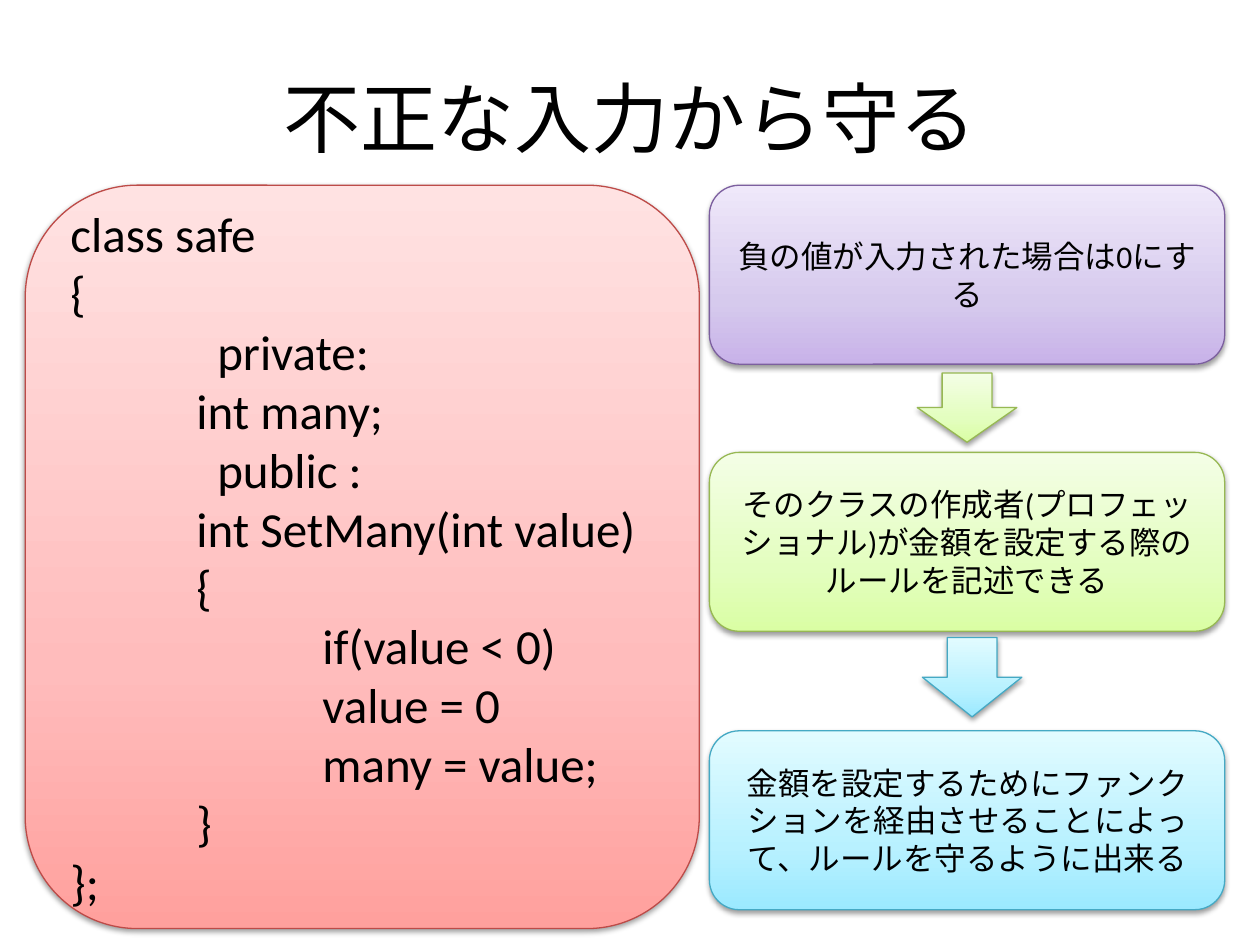
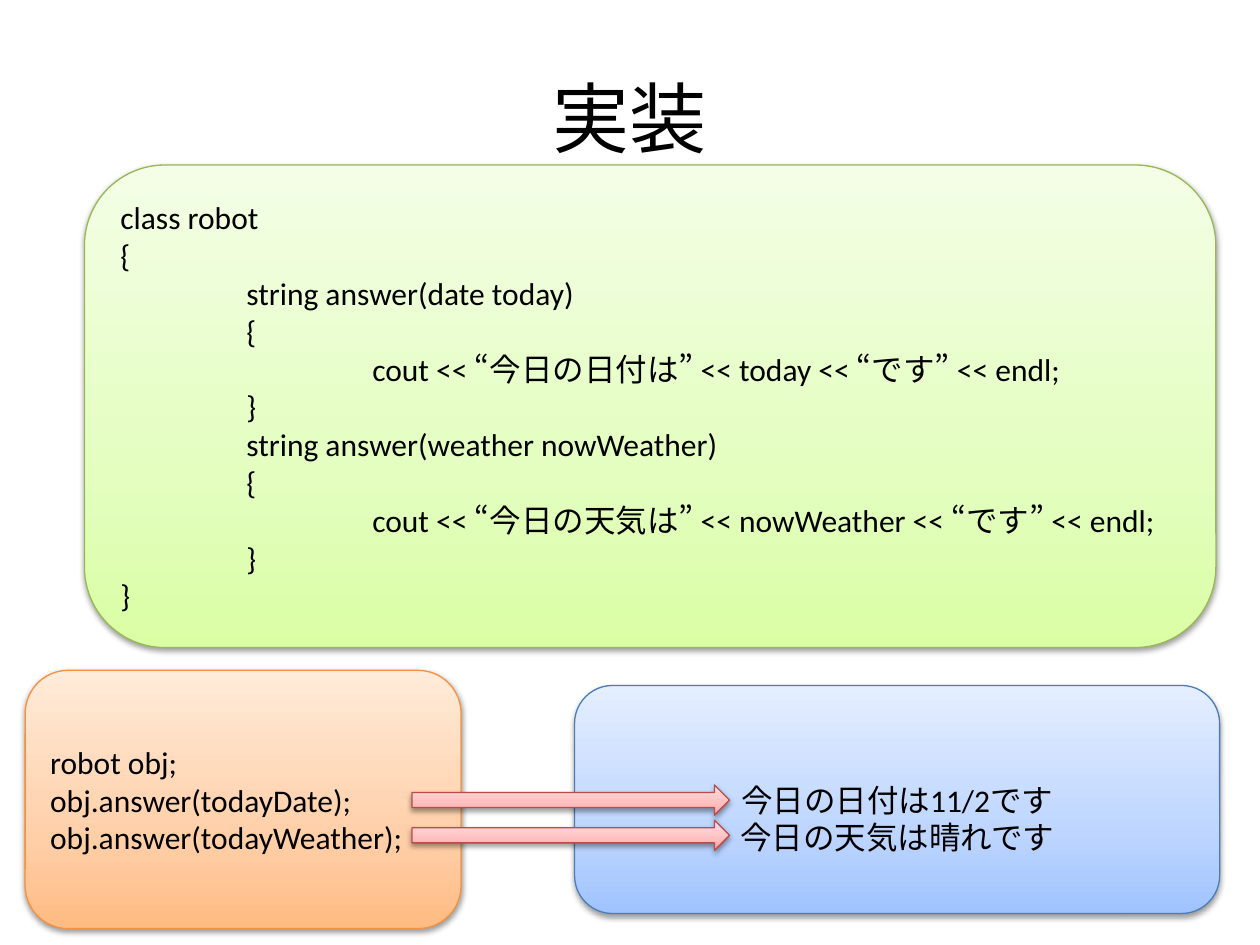
"""Two slides on guarding class input and overloading methods."""
from copy import deepcopy
from lxml import etree
from pptx import Presentation, util as u
from pptx.dml.color import RGBColor
from pptx.enum import lang, shapes, text
from pptx.oxml.ns import qn

WIDE, HIGH = u.Inches(10), u.Inches(7.5)
COLS, ROWS = 100, 75
FONT, INK = "Calibri", "000000"
STOPS = (0, 0.35, 1)
RED = ("FFA09D", "FFBCBC", "FFE2E2", "BD4B48")
VIOLET = ("C8B2E9", "D6CAED", "EFE8FA", "7C5F9F")
GREEN = ("DAFEA4", "E3FEBF", "F4FEE6", "97B853")
CYAN = ("9BE9FF", "B8F1FF", "E2FBFF", "45A9C4")
ORANGE = ("FFBB82", "FFCFA8", "FFEBD9", "F5913F")
BLUE = ("9FC3FF", "BDD5FF", "E4EEFF", "4A7DBA")
KIND = shapes.MSO_SHAPE
LEFT, MID = text.PP_ALIGN.LEFT, text.PP_ALIGN.CENTER

SAFE = """class safe
{
　　　private:
	int many;
　　　public :
	int SetMany(int value)
	{
		if(value < 0)
		value = 0
		many = value;
	}
};"""

ROBOT = """class robot
{
	string answer(date today)
	{
		cout << “今日の日付は” << today << “です” << endl;
	}
	string answer(weather nowWeather)
	{
		cout << “今日の天気は” << nowWeather << “です” << endl;
	}
}"""

CALLS = """robot obj;
obj.answer(todayDate);
obj.answer(todayWeather);"""

REPLY = """今日の日付は11/2です
今日の天気は晴れです"""

RULES = (
    (14.7, VIOLET, "負の値が入力された場合は0にする"),
    (35.9, GREEN, "そのクラスの作成者(プロフェッショナル)が金額を設定する際のルールを記述できる"),
    (58, CYAN, "金額を設定するためにファンクションを経由させることによって、ルールを守るように出来る"),
)


def hue(code):
    """Turn a hex string into a colour."""
    return RGBColor.from_string(code)


def grid(col, row, wide, high):
    """Turn grid columns and rows into slide lengths."""
    return (int(WIDE * col / COLS), int(HIGH * row / ROWS),
            int(WIDE * wide / COLS), int(HIGH * high / ROWS))


def write(frame, words, size, align):
    """Fill a text frame, with one-inch tabs, and format every run."""
    frame.text = words
    frame.word_wrap = True
    frame.vertical_anchor = text.MSO_ANCHOR.MIDDLE
    for para in frame.paragraphs:
        para.alignment = align
        props = para._p.get_or_add_pPr()
        props.set("defTabSz", str(u.Inches(1)))
        props.set("hangingPunct", "0")
        for run in para.runs:
            run.font.name, run.font.size = FONT, u.Pt(size)
            run.font.color.rgb = hue(INK)
            run.font.language_id = lang.MSO_LANGUAGE_ID.JAPANESE


def shade(shape):
    """Drop a soft shadow straight below a shape."""
    shape.shadow.inherit = False
    glow = shape._element.spPr.find(qn("a:effectLst"))
    drop = etree.SubElement(glow, qn("a:outerShdw"), blurRad="40000",
                            dist="20000", dir="5400000", rotWithShape="0")
    tint = etree.SubElement(drop, qn("a:srgbClr"), val=INK)
    etree.SubElement(tint, qn("a:alpha"), val="38000")


def paint(shape, tone):
    """Give a shape its gradient, outline and shadow."""
    shape.fill.gradient()
    stops = shape._element.spPr.find(".//" + qn("a:gsLst"))
    stops.append(deepcopy(stops[0]))
    for stop, place, code in zip(shape.fill.gradient_stops, STOPS, tone):
        stop.position, stop.color.rgb = place, hue(code)
    shape.fill.gradient_angle = 90
    shape.line.color.rgb = hue(tone[-1])
    shape.line.width = u.Pt(0.75)
    shade(shape)


def arrow(slide, kind, area, tone):
    """Add a block arrow."""
    shape = slide.shapes.add_shape(kind, *grid(*area))
    paint(shape, tone)


def card(slide, area, tone, words, size=18, align=LEFT):
    """Add a rounded box with text and return it."""
    shape = slide.shapes.add_shape(KIND.ROUNDED_RECTANGLE, *grid(*area))
    paint(shape, tone)
    write(shape.text_frame, words, size, align)
    return shape


def page(deck, name):
    """Add a slide with its title."""
    slide = deck.slides.add_slide(deck.slide_layouts[5])
    title = slide.shapes.title
    title.left, title.top, title.width, title.height = grid(5, 3, 90, 12.5)
    write(title.text_frame, name, 44, MID)
    return slide


def guard(deck):
    """Build the slide on guarding against bad input."""
    slide = page(deck, "不正な入力から守る")
    card(slide, (2, 14.7, 53.5, 59), RED, SAFE, 28)
    for row, tone, words in RULES:
        card(slide, (56.3, row, 40.9, 14.2), tone, words, align=MID)
    arrow(slide, KIND.DOWN_ARROW, (72.8, 29.6, 7.9, 5.5), GREEN)
    arrow(slide, KIND.DOWN_ARROW, (73.2, 50.6, 7.9, 6.3), CYAN)


def robot(deck):
    """Build the slide on the code and its output."""
    slide = page(deck, "実装")
    card(slide, (6.7, 13.1, 89.8, 38.3), GREEN, ROBOT)
    card(slide, (2, 53.2, 34.6, 20.5), ORANGE, CALLS)
    reply = card(slide, (45.6, 54.4, 51.2, 18.1), BLUE, REPLY, align=MID)
    reply.text_frame.margin_top = u.Inches(0.35)
    for row in (62.3, 65.1):
        arrow(slide, KIND.RIGHT_ARROW, (32.7, row, 25.2, 2.4), RED)


def main():
    """Build and save the deck."""
    deck = Presentation()
    deck.slide_width, deck.slide_height = WIDE, HIGH
    guard(deck)
    robot(deck)
    deck.save("out.pptx")


if __name__ == "__main__":
    main()
